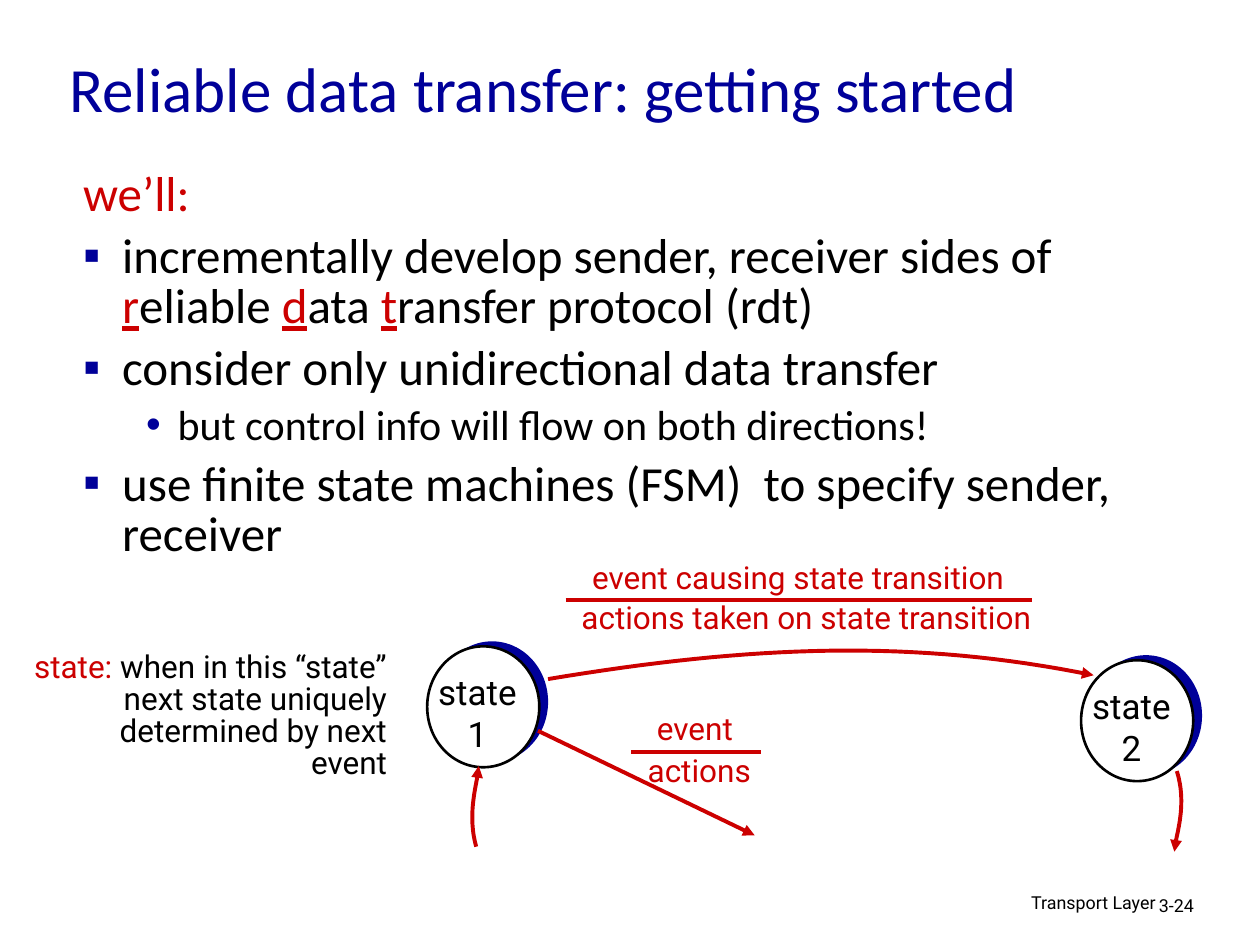
from lxml import etree
from pptx import Presentation
from pptx.dml.color import RGBColor
from pptx.enum.shapes import MSO_CONNECTOR, MSO_SHAPE
from pptx.enum.text import MSO_ANCHOR, MSO_AUTO_SIZE, PP_ALIGN
from pptx.oxml.ns import qn
from pptx.util import Inches, Pt

LEFT, CENTER, RIGHT = PP_ALIGN.LEFT, PP_ALIGN.CENTER, PP_ALIGN.RIGHT
COLORS = {"blue": "000099", "red": "CC0000", "black": "000000", "white": "FFFFFF"}
HEADING_FONT, LABEL_FONT = "Calibri", "Roboto"
CURVE_STEPS = 32
STATE_SIZE = (0.89, 0.96)

# Bullet paragraphs: level, bullet, size, runs of (text, is highlighted initial)
BULLETS = [
    (0, "▪", 28, [
        ("incrementally develop sender, receiver sides of ", False),
        ("r", True), ("eliable ", False),
        ("d", True), ("ata ", False),
        ("t", True), ("ransfer protocol (rdt)", False),
    ]),
    (0, "▪", 28, [("consider only unidirectional data transfer", False)]),
    (1, "•", 24, [("but control info will flow on both directions!", False)]),
    (0, "▪", 28, [("use finite state machines (FSM)  to specify sender, receiver", False)]),
]
INDENTS = [(0.31, -0.31), (0.75, -0.25)]


def rgb(name):
    return RGBColor.from_string(COLORS[name])


def style_font(font, size, color, name=LABEL_FONT):
    font.size = Pt(size)
    font.name = name
    font.color.rgb = rgb(color)


def place(shape, left, top, width, height):
    shape.left, shape.top = Inches(left), Inches(top)
    shape.width, shape.height = Inches(width), Inches(height)


def set_indent(paragraph, margin, indent):
    properties = paragraph._p.get_or_add_pPr()
    properties.set("marL", str(Inches(margin)))
    properties.set("indent", str(Inches(indent)))
    return properties


def set_bullet(properties, character):
    if not character:
        etree.SubElement(properties, qn("a:buNone"))
        return
    color = etree.SubElement(properties, qn("a:buClr"))
    etree.SubElement(color, qn("a:srgbClr"), val=COLORS["blue"])
    etree.SubElement(properties, qn("a:buFont"), typeface="Arial")
    etree.SubElement(properties, qn("a:buChar"), char=character)


def fill_title(title):
    place(title, 0.45, 0.21, 8.5, 0.97)
    frame = title.text_frame
    frame.text = "Reliable data transfer: getting started"
    frame.auto_size = MSO_AUTO_SIZE.NONE
    frame.vertical_anchor = MSO_ANCHOR.MIDDLE
    frame.paragraphs[0].alignment = LEFT
    style_font(frame.paragraphs[0].runs[0].font, 36, "blue", HEADING_FONT)


def format_body_paragraph(paragraph, level, bullet, space_before):
    paragraph.level = level
    set_bullet(set_indent(paragraph, *INDENTS[level]), bullet)
    paragraph.line_spacing = 0.85
    paragraph.space_before = Pt(space_before)


def fill_body(body):
    place(body, 0.56, 1.31, 8.69, 3.67)
    frame = body.text_frame
    frame.text = "we’ll:"
    frame.auto_size = MSO_AUTO_SIZE.NONE
    intro = frame.paragraphs[0]
    format_body_paragraph(intro, 0, None, 0)
    style_font(intro.runs[0].font, 28, "red", HEADING_FONT)
    for level, bullet, size, runs in BULLETS:
        paragraph = frame.add_paragraph()
        format_body_paragraph(paragraph, level, bullet, 7 - level)
        for text, highlighted in runs:
            run = paragraph.add_run()
            run.text = text
            style_font(run.font, size, "red" if highlighted else "black", HEADING_FONT)
            if highlighted:
                run.font.underline = True


def add_label(slide, box, text, size, color, align=CENTER, wrap=False, line_spacing=1.0):
    shape = slide.shapes.add_textbox(*map(Inches, box))
    frame = shape.text_frame
    frame.word_wrap = wrap
    frame.text = text
    for paragraph in frame.paragraphs:
        paragraph.alignment = align
        paragraph.line_spacing = line_spacing
        style_font(paragraph.runs[0].font, size, color)
    return frame


def add_circle(slide, left, top, fill, outlined):
    circle = slide.shapes.add_shape(
        MSO_SHAPE.OVAL, *map(Inches, (left, top, *STATE_SIZE)))
    circle.shadow.inherit = False
    circle.fill.solid()
    circle.fill.fore_color.rgb = rgb(fill)
    if outlined:
        circle.line.color.rgb = rgb("black")
        circle.line.width = Pt(1.5)
    else:
        circle.line.fill.background()


def add_state(slide, left, top, number):
    add_circle(slide, left + 0.07, top - 0.04, "blue", False)
    add_circle(slide, left, top, "white", True)
    add_label(slide, (left - 0.02, top + 0.14, 0.84, 0.77), f"state\n{number}", 20, "black")


def style_line(line, arrow):
    line.color.rgb = rgb("red")
    line.width = Pt(2.25)
    if arrow:
        etree.SubElement(line._get_or_add_ln(), qn("a:tailEnd"), type="triangle")


def add_line(slide, start, end, arrow=False):
    connector = slide.shapes.add_connector(
        MSO_CONNECTOR.STRAIGHT, *map(Inches, (*start, *end)))
    style_line(connector.line, arrow)
    etree.SubElement(connector._element.spPr, qn("a:effectLst"))


def bezier_point(controls, t):
    weights = ((1 - t) ** 3, 3 * t * (1 - t) ** 2, 3 * t ** 2 * (1 - t), t ** 3)
    return tuple(Inches(sum(weight * point[axis] for weight, point in zip(weights, controls)))
                 for axis in (0, 1))


def add_curved_arrow(slide, *controls):
    points = [bezier_point(controls, step / CURVE_STEPS) for step in range(CURVE_STEPS + 1)]
    builder = slide.shapes.build_freeform(*points[0])
    builder.add_line_segments(points[1:], close=False)
    curve = builder.convert_to_shape()
    curve.shadow.inherit = False
    curve.fill.background()
    style_line(curve.line, True)


def add_state_note(slide):
    frame = add_label(slide, (0.14, 5.13, 3.03, 1.35), "state:", 18, "red", RIGHT, True, 0.85)
    paragraph = frame.paragraphs[0]
    set_indent(paragraph, 0.38, -0.38)
    run = paragraph.add_run()
    run.text = " when in this “state” next state uniquely determined by next event"
    style_font(run.font, 18, "black")


def add_footer(slide):
    add_label(slide, (6.1, 7.05, 3.17, 0.31), "Transport Layer", 10.2, "black", RIGHT, True, 0.9)
    add_label(slide, (9.1, 7.07, 0.74, 0.3), "3-24", 10.2, "black", LEFT, True, 0.9)


def main():
    presentation = Presentation()
    presentation.slide_width, presentation.slide_height = Inches(10), Inches(7.5)
    slide = presentation.slides.add_slide(presentation.slide_layouts[1])

    # Title, bullets and footer
    fill_title(slide.shapes.title)
    fill_body(slide.placeholders[1])
    add_footer(slide)

    # States and their explanation
    add_state(slide, 3.39, 5.13, 1)
    add_state(slide, 8.58, 5.24, 2)
    add_state_note(slide)

    # Transitions
    add_curved_arrow(slide, (4.35, 5.39), (5.97, 5.12), (7.26, 5.07), (8.68, 5.36))
    add_curved_arrow(slide, (3.78, 6.72), (3.7, 6.44), (3.8, 6.18), (3.8, 6.08))
    add_curved_arrow(slide, (9.34, 6.12), (9.43, 6.41), (9.32, 6.66), (9.32, 6.76))
    add_line(slide, (4.27, 5.8), (5.99, 6.63), arrow=True)

    # Event over actions, parted by a rule
    add_label(slide, (4.5, 4.38, 3.67, 0.4), "event causing state transition", 18, "red")
    add_label(slide, (4.41, 4.7, 3.98, 0.4), "actions taken on state transition", 18, "red")
    add_line(slide, (4.49, 4.76), (8.19, 4.76))
    add_label(slide, (5.09, 5.58, 0.85, 0.4), "event", 18, "red")
    add_label(slide, (5.03, 5.91, 1.04, 0.4), "actions", 18, "red")
    add_line(slide, (5.01, 5.97), (6.04, 5.97))

    presentation.save("out.pptx")


if __name__ == "__main__":
    main()
